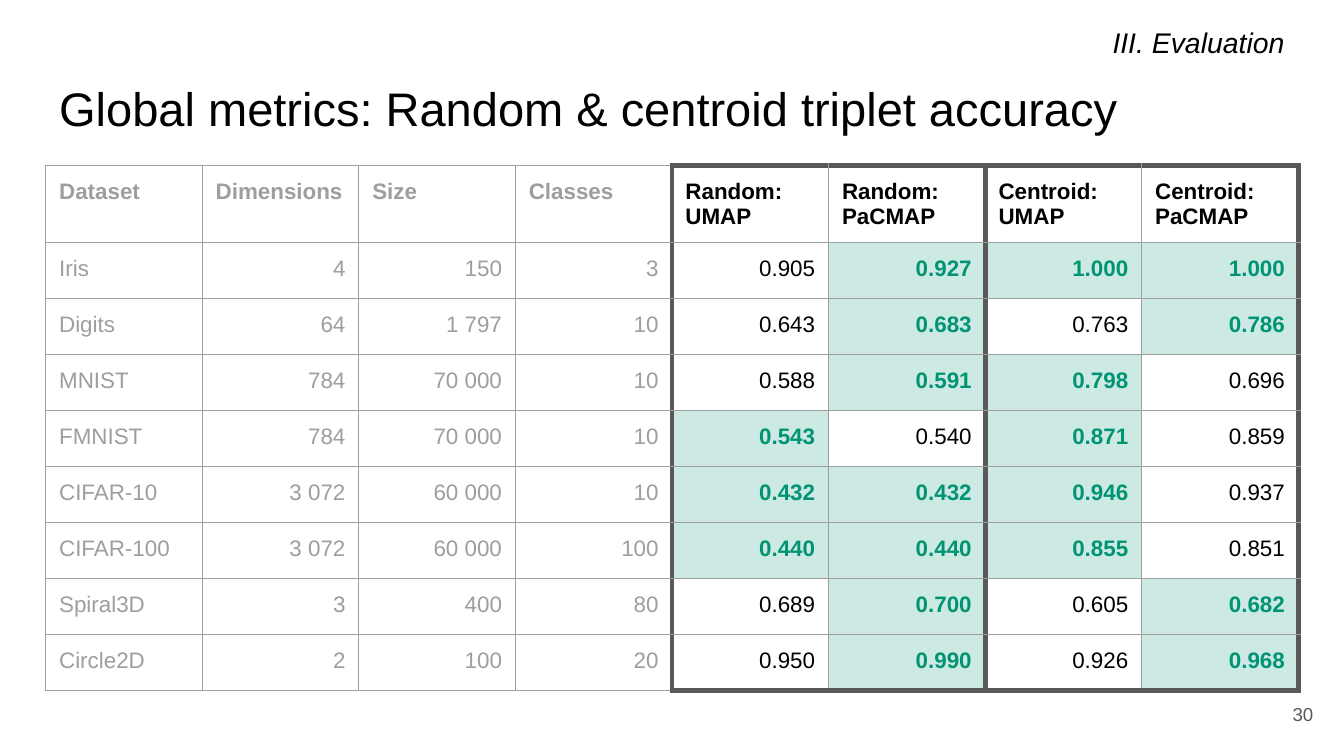
from dataclasses import dataclass

from lxml import etree
from pptx import Presentation
from pptx import util as u
from pptx.dml.color import RGBColor
from pptx.enum import text
from pptx.oxml.ns import qn


@dataclass(frozen=True)
class Theme:
    """Colours, type sizes and line widths of the slide."""
    font: str = "Arial"
    ink: str = "000000"
    muted: str = "9E9E9E"
    frame: str = "595959"
    best: str = "009473"
    title: float = 25.2
    section: float = 15.2
    cell: float = 12
    number: float = 10
    thin: float = 0.75
    thick: float = 3
    tint: int = 20


T = Theme()
WIDTH = 10
HEIGHT = WIDTH * 9 / 16
MARGIN, BAND = 0.34, 0.63
CONTENT = WIDTH - 2 * MARGIN
INSET = u.Inches(0.1)
ROW = u.Pt(30)
FIRST_SCORE = 4

HEADERS = ["Dataset", "Dimensions", "Size", "Classes", "Random:\nUMAP",
           "Random:\nPaCMAP", "Centroid:\nUMAP", "Centroid:\nPaCMAP"]
ROWS = [
    ["Iris", "4", "150", "3", "0.905", "0.927", "1.000", "1.000"],
    ["Digits", "64", "1 797", "10", "0.643", "0.683", "0.763", "0.786"],
    ["MNIST", "784", "70 000", "10", "0.588", "0.591", "0.798", "0.696"],
    ["FMNIST", "784", "70 000", "10", "0.543", "0.540", "0.871", "0.859"],
    ["CIFAR-10", "3 072", "60 000", "10", "0.432", "0.432", "0.946", "0.937"],
    ["CIFAR-100", "3 072", "60 000", "100", "0.440", "0.440", "0.855", "0.851"],
    ["Spiral3D", "3", "400", "80", "0.689", "0.700", "0.605", "0.682"],
    ["Circle2D", "2", "100", "20", "0.950", "0.990", "0.926", "0.968"],
]


def write(tf, content, size, color=T.ink, bold=False, italic=False, right=False):
    """Fill a text frame with one paragraph per line of content."""
    for i, line in enumerate(content.split("\n")):
        p = tf.paragraphs[0] if i == 0 else tf.add_paragraph()
        p.alignment = text.PP_ALIGN.RIGHT if right else text.PP_ALIGN.LEFT
        p.space_before = u.Pt(0)
        r = p.add_run()
        r.text = line
        r.font.name, r.font.size = T.font, u.Pt(size)
        r.font.bold, r.font.italic = bold, italic
        r.font.color.rgb = RGBColor.from_string(color)


def set_insets(box):
    """Give a cell or text frame the same inset on every side."""
    box.margin_left = box.margin_right = INSET
    box.margin_top = box.margin_bottom = INSET


def place_text(sp, box, content, size, middle=False, **style):
    """Move a text shape to box, in inches, and write its text."""
    sp.left, sp.top, sp.width, sp.height = map(u.Inches, box)
    tf = sp.text_frame
    set_insets(tf)
    tf.word_wrap = True
    tf.auto_size = text.MSO_AUTO_SIZE.NONE
    tf.vertical_anchor = text.MSO_ANCHOR.MIDDLE if middle else text.MSO_ANCHOR.TOP
    write(tf, content, size, **style)


def remove_bullet(p):
    """Take the bullet and hanging indent off a list paragraph."""
    pPr = p._p.get_or_add_pPr()
    pPr.set("marL", "0")
    pPr.set("indent", "0")
    etree.SubElement(pPr, qn("a:buNone"))


def set_border(cell, side, heavy):
    """Draw one side of a cell as a frame line or a grid line."""
    width, color = (T.thick, T.frame) if heavy else (T.thin, T.muted)
    ln = etree.SubElement(cell._tc.get_or_add_tcPr(), qn(f"a:ln{side}"), w=str(u.Pt(width)))
    fill = etree.SubElement(ln, qn("a:solidFill"))
    etree.SubElement(fill, qn("a:srgbClr"), val=color)


def tint_cell(cell):
    """Fill a cell with the translucent highlight colour."""
    cell.fill.solid()
    cell.fill.fore_color.rgb = RGBColor.from_string(T.best)
    clr = cell._tc.tcPr.find(qn("a:solidFill")).find(qn("a:srgbClr"))
    etree.SubElement(clr, qn("a:alpha"), val=str(T.tint * 1000))


def is_best(row, col):
    """Tell whether a score is the highest of its pair of methods."""
    if col < FIRST_SCORE:
        return False
    start = col - (col - FIRST_SCORE) % 2
    return float(row[col]) == max(map(float, row[start:start + 2]))


def format_cell(cell, content, row, col, best):
    """Write a cell and set its borders and fill from its grid position."""
    header, score = row == 0, col >= FIRST_SCORE
    set_insets(cell)
    color = T.best if best else T.ink if score else T.muted
    write(cell.text_frame, content, T.cell, color=color,
          bold=header or best, right=not header and col > 0)
    heavy = {"L": score and col % 2 == 0,
             "R": col >= FIRST_SCORE - 1 and col % 2 == 1,
             "T": score and header,
             "B": score and row == len(ROWS)}
    for side, is_heavy in heavy.items():
        set_border(cell, side, is_heavy)
    if best:
        tint_cell(cell)
    else:
        cell.fill.background()


def add_scores(slide, top):
    """Add the table of data sets and their triplet accuracies."""
    grid = [HEADERS] + ROWS
    table = slide.shapes.add_table(len(grid), len(HEADERS), u.Inches(MARGIN), u.Inches(top),
                                   u.Inches(CONTENT), ROW * len(grid)).table
    table.first_row = table.horz_banding = False
    for column in table.columns:
        column.width = u.Inches(CONTENT / len(HEADERS))
    for i, values in enumerate(grid):
        table.rows[i].height = ROW
        for j, value in enumerate(values):
            format_cell(table.cell(i, j), value, i, j, i > 0 and is_best(values, j))


def main():
    """Build the slide and save it."""
    prs = Presentation()
    prs.slide_width, prs.slide_height = u.Inches(WIDTH), u.Inches(HEIGHT)
    slide = prs.slides.add_slide(prs.slide_layouts[1])
    place_text(slide.shapes.title, (MARGIN, 0.49, CONTENT, BAND),
               "Global metrics: Random & centroid triplet accuracy", T.title)
    section = slide.placeholders[1]
    remove_bullet(section.text_frame.paragraphs[0])
    place_text(section, (MARGIN, 0, CONTENT, BAND), "III. Evaluation", T.section,
               middle=True, italic=True, right=True)
    add_scores(slide, 1.23)
    place_text(slide.shapes.add_textbox(0, 0, 0, 0), (9.27, 5.1, 0.6, 0.43), "30",
               T.number, middle=True, color=T.frame, right=True)
    prs.save("out.pptx")


if __name__ == "__main__":
    main()
